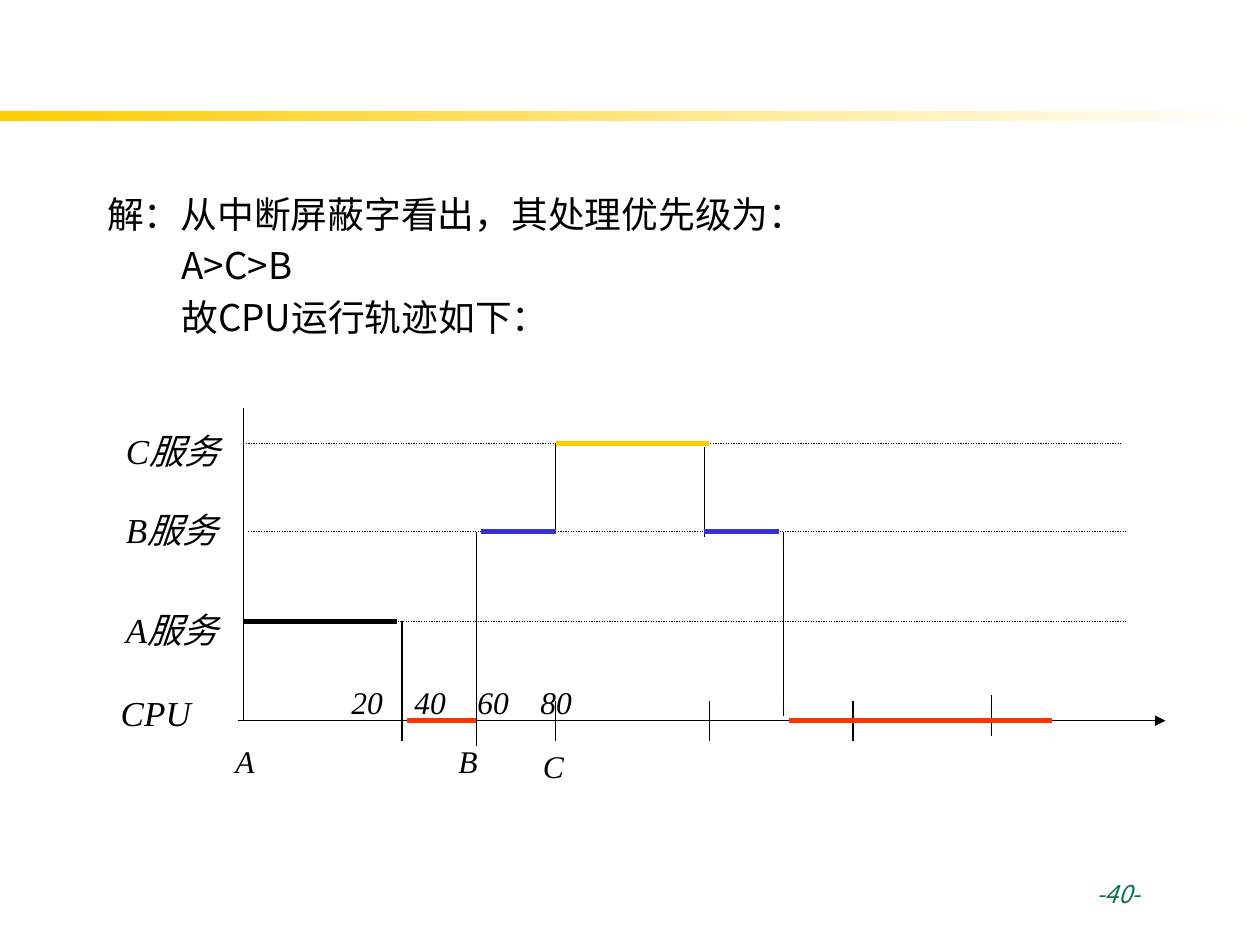
import pptx
import pptx.util
import pptx.dml.color
import pptx.enum.dml
import pptx.enum.shapes
import pptx.enum.text
import pptx.oxml.ns
from lxml import etree

Inches, Pt = pptx.util.Inches, pptx.util.Pt
RGBColor = pptx.dml.color.RGBColor
BLACK = RGBColor(0x00, 0x00, 0x00)
WHITE = RGBColor(0xFF, 0xFF, 0xFF)
YELLOW = RGBColor(0xFF, 0xCC, 0x00)
BLUE = RGBColor(0x33, 0x33, 0xCC)
RED = RGBColor(0xFF, 0x33, 0x00)
GREEN = RGBColor(0x0D, 0x71, 0x57)
SANS, SERIF = "Noto Sans CJK SC", "Times New Roman"
THIN, THICK = 0.75, 3

# Content: answer lines with their left indent
ANSWER = [
    ("解：从中断屏蔽字看出，其处理优先级为：", 0),
    ("A>C>B", 0.59),
    ("故CPU运行轨迹如下：", 0.59),
]

# Height of each level of the timing diagram
LEVEL = {"C": 3.52, "B": 4.22, "A": 4.93, "CPU": 5.72}
AXIS_X = 1.93
GUIDES = [("C", 1.93, 8.9), ("B", 1.97, 8.94), ("A", 1.97, 8.94)]
TICKS = [(3.19, 5.56), (4.41, 5.56), (5.63, 5.56), (6.77, 5.56),
         (7.87, 5.52), (3.78, 5.6)]
TICK_LENGTH = 0.32

# Running periods (level, start, end, colour) and switches (x, top, bottom)
PERIODS = [
    ("A", 1.93, 3.15, BLACK),
    ("CPU", 3.23, 3.78, RED),
    ("B", 3.82, 4.41, BLUE),
    ("C", 4.41, 5.63, YELLOW),
    ("B", 5.59, 6.18, BLUE),
    ("CPU", 6.26, 8.35, RED),
]
SWITCHES = [(3.19, 4.93, 5.72), (3.78, 4.22, 5.68), (4.41, 3.52, 4.22),
            (5.59, 3.55, 4.26), (6.22, 4.22, 5.68)]

# Labels: text, left, top, width, height, size
LABELS = [
    ("A服务", 0.9, 4.78, 1.18, 0.43, 20),
    ("B服务", 0.9, 3.99, 1.18, 0.43, 20),
    ("C服务", 0.9, 3.36, 1.18, 0.43, 20),
    ("CPU", 0.86, 5.44, 1.18, 0.43, 20),
    ("A", 1.77, 5.84, 0.51, 0.4, 18),
    ("B", 3.54, 5.84, 0.51, 0.85, 18),
    ("C", 4.21, 5.88, 0.51, 0.4, 18),
]
TIMES = ["20", "40", "60", "80"]
TIME_TABS = [1.31, 2.62, 3.74]


def add_child(parent, tag, **attributes):
    child = etree.SubElement(parent, pptx.oxml.ns.qn(tag))
    for name, value in attributes.items():
        child.set(name, value)
    return child


def set_font(run, name, **values):
    values = {"name": name, "color": BLACK, "italic": False} | values
    run.font.color.rgb = values.pop("color")
    for attribute, value in values.items():
        setattr(run.font, attribute, value)
    if name == SANS:
        add_child(run.font._element, "a:ea", typeface=name)


def add_label(slide, text, left, top, width, height, **font):
    box = slide.shapes.add_textbox(*map(Inches, (left, top, width, height)))
    box.text_frame.word_wrap = True
    paragraph = box.text_frame.paragraphs[0]
    run = paragraph.add_run()
    run.text = text
    set_font(run, **font)
    return paragraph


def add_line(slide, start, end, color=BLACK, width=THIN, dash=None, arrow=False):
    connector = slide.shapes.add_connector(
        pptx.enum.shapes.MSO_CONNECTOR.STRAIGHT, *map(Inches, start + end))
    connector.line.color.rgb = color
    connector.line.width = Pt(width)
    if dash:
        connector.line.dash_style = dash
    if arrow:
        add_child(connector.line._get_or_add_ln(), "a:tailEnd", type="triangle")
    add_child(connector._element.spPr, "a:effectLst")


def add_answer(slide):
    body = slide.placeholders[1]
    body.left, body.top, body.width, body.height = map(Inches, (0.75, 1.47, 8.5, 1.61))
    frame = body.text_frame
    frame.auto_size = pptx.enum.text.MSO_AUTO_SIZE.NONE
    for index, (text, indent) in enumerate(ANSWER):
        paragraph = frame.add_paragraph() if index else frame.paragraphs[0]
        paragraph.line_spacing = 1.0
        paragraph.space_before = Pt(4.2)
        properties = paragraph._element.get_or_add_pPr()
        properties.set("marL", str(Inches(indent)))
        properties.set("indent", "0")
        add_child(properties, "a:buNone")
        run = paragraph.add_run()
        run.text = text
        set_font(run, SANS, size=Pt(21))


def main():
    presentation = pptx.Presentation()
    presentation.slide_width, presentation.slide_height = Inches(10), Inches(7.5)
    slide = presentation.slides.add_slide(presentation.slide_layouts[1])
    title = slide.shapes.title._element
    title.getparent().remove(title)
    add_answer(slide)

    # Fading band
    band = slide.shapes.add_shape(pptx.enum.shapes.MSO_SHAPE.RECTANGLE,
                                  *map(Inches, (0, 0.88, 10, 0.08)))
    band.shadow.inherit = False
    band.line.fill.background()
    band.fill.gradient()
    band.fill.gradient_angle = 0
    for stop, color, position in zip(band.fill.gradient_stops, (YELLOW, WHITE), (0, 1)):
        stop.color.rgb = color
        stop.position = position

    # Axes, guides and ticks
    base = LEVEL["CPU"]
    add_line(slide, (1.89, base), (9.25, base), arrow=True)
    add_line(slide, (AXIS_X, 3.24), (AXIS_X, base))
    for level, start, end in GUIDES:
        add_line(slide, (start, LEVEL[level]), (end, LEVEL[level]),
                 dash=pptx.enum.dml.MSO_LINE.ROUND_DOT)
    for x, top in TICKS:
        add_line(slide, (x, top), (x, top + TICK_LENGTH))

    # Track of the processor
    for x, top, bottom in SWITCHES:
        add_line(slide, (x, top), (x, bottom))
    for level, start, end, color in PERIODS:
        add_line(slide, (start, LEVEL[level]), (end, LEVEL[level]), color, THICK)

    # Labels
    for *place, size in LABELS:
        add_label(slide, *place, name=SERIF, size=Pt(size), italic=True)
    times = add_label(slide, "\t".join(TIMES), 2.64, 5.37, 4.49, 0.4,
                      name=SERIF, size=Pt(18), italic=True)
    properties = times._element.get_or_add_pPr()
    properties.set("marL", str(Inches(0.05)))
    properties.set("indent", "0")
    tabs = add_child(properties, "a:tabLst")
    for tab in TIME_TABS:
        add_child(tabs, "a:tab", pos=str(Inches(tab)), algn="l")

    # Page number
    add_label(slide, "-40-", 8.6, 6.93, 1.05, 0.52,
              name=SANS, size=Pt(14), italic=True, color=GREEN)
    presentation.save("out.pptx")


if __name__ == "__main__":
    main()
